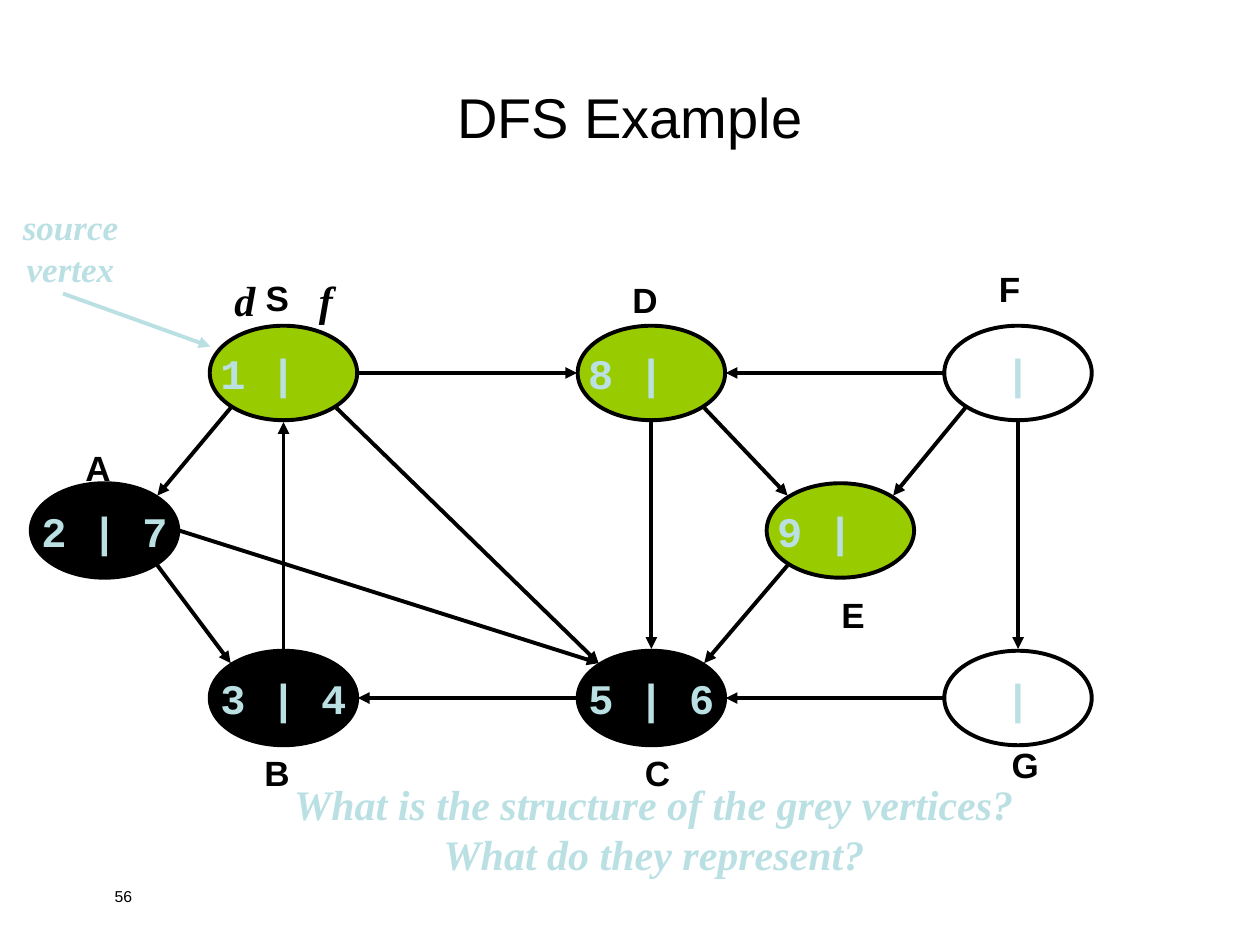
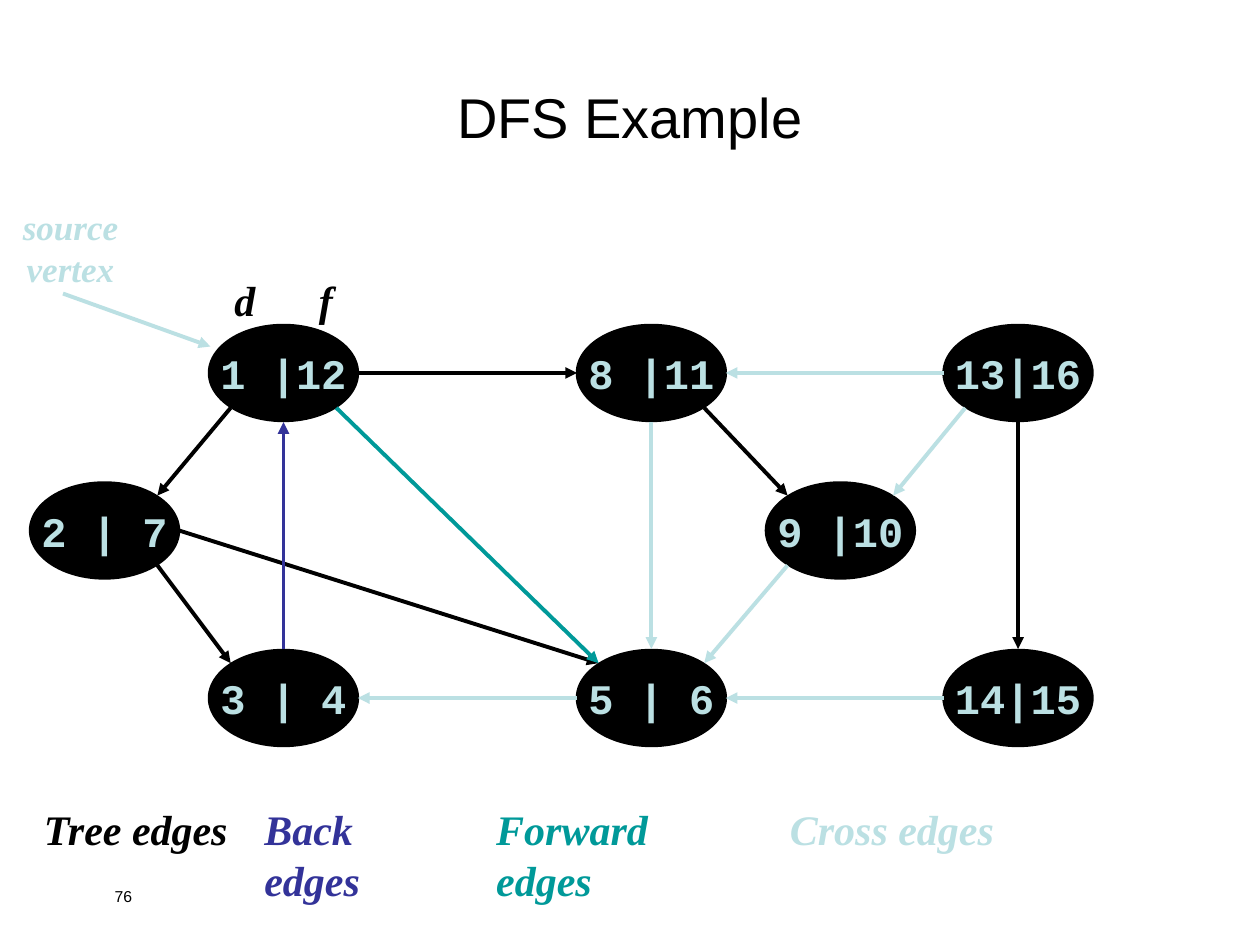
from lxml import etree
from pptx import Presentation
from pptx.dml.color import RGBColor
from pptx.enum.shapes import MSO_CONNECTOR, MSO_SHAPE
from pptx.enum.text import MSO_ANCHOR, PP_ALIGN
from pptx.oxml.ns import qn
from pptx.util import Inches, Pt

OVAL = MSO_SHAPE.OVAL
STRAIGHT = MSO_CONNECTOR.STRAIGHT
LEFT, CENTER = PP_ALIGN.LEFT, PP_ALIGN.CENTER
TOP, MIDDLE = MSO_ANCHOR.TOP, MSO_ANCHOR.MIDDLE

# Shared colours and fonts
BLACK, PALE, GREEN = "000000", "BBE0E3", "99CC00"
BLUE, TEAL = "333399", "009999"
SANS, SERIF, MONO = "Arial", "Times New Roman", "Courier New"
EDGE = Pt(2.25)

# Graph: centre of each vertex
WIDE, HIGH = 1.17, 0.75
COLS = (0.83, 2.25, 5.17, 6.67, 8.08)
ROWS = (2.96, 4.21, 5.54)
NODES = {
    "S": (COLS[1], ROWS[0]), "D": (COLS[2], ROWS[0]),
    "F": (COLS[4], ROWS[0]), "G": (COLS[4], ROWS[2]),
    "C": (COLS[2], ROWS[2]), "B": (COLS[1], ROWS[2]),
    "A": (COLS[0], ROWS[1]), "E": (COLS[3], ROWS[1]),
}

# Points just outside an oval, as shares of its reach
REACH = (0.59, 0.39)
DIAG = 0.71
PORTS = {
    "n": (0, -1), "s": (0, 1), "w": (-1, 0), "e": (1, 0),
    "nw": (-DIAG, -DIAG), "ne": (DIAG, -DIAG),
    "sw": (-DIAG, DIAG), "se": (DIAG, DIAG),
}

# Edges: start, its port, end, its port, kind
EDGES = [
    ("S", "sw", "A", "ne", "Tree"), ("A", "se", "B", "nw", "Tree"),
    ("A", "e", "C", "nw", "Tree"), ("C", "w", "B", "e", "Cross"),
    ("B", "n", "S", "s", "Back"), ("S", "se", "C", "nw", "Forward"),
    ("D", "s", "C", "n", "Cross"), ("S", "e", "D", "w", "Tree"),
    ("F", "w", "D", "e", "Cross"), ("D", "se", "E", "nw", "Tree"),
    ("F", "sw", "E", "ne", "Cross"), ("F", "s", "G", "n", "Tree"),
    ("G", "w", "C", "e", "Cross"), ("E", "sw", "C", "ne", "Cross"),
]
KINDS = {"Tree": BLACK, "Back": BLUE, "Forward": TEAL, "Cross": PALE}
PLAIN = dict.fromkeys(KINDS, BLACK)

# What each slide fills in
MIDWAY = {
    "S": ("1 |", GREEN), "D": ("8 |", GREEN), "F": ("|", None),
    "G": ("|", None), "C": ("5 | 6", BLACK), "B": ("3 | 4", BLACK),
    "A": ("2 | 7", BLACK), "E": ("9 |", GREEN),
}
TIMES = {
    "S": "1 |12", "D": "8 |11", "F": "13|16", "G": "14|15",
    "C": "5 | 6", "B": "3 | 4", "A": "2 | 7", "E": "9 |10",
}
DONE = {name: (text, BLACK) for name, text in TIMES.items()}
NAMES = {
    "S": (2.01, 2.15), "A": (0.58, 3.5), "B": (2, 5.92), "C": (5.02, 5.92),
    "D": (4.92, 2.17), "E": (6.58, 4.67), "F": (7.83, 2.08), "G": (7.93, 5.86),
}
LEGEND = {"Tree": (0.25, 1.67), "Back": (2, 1.74),
          "Forward": (3.84, 2.24), "Cross": (6.17, 1.82)}


def color(code):
    return RGBColor.from_string(code)


def style(par, font, size, code, bold=False, slant=False, align=LEFT):
    par.alignment = align
    face = par.font
    face.name, face.size = font, Pt(size)
    face.bold, face.italic = bold, slant
    face.color.rgb = color(code)


def label(slide, text, at, font, size, code, bold=False, slant=False,
          align=LEFT, anchor=TOP, inset=0.1, tab=None):
    box = slide.shapes.add_textbox(*map(Inches, at))
    frame = box.text_frame
    frame.word_wrap = False
    frame.vertical_anchor = anchor
    frame.margin_left = Inches(inset)
    par = frame.paragraphs[0]
    par.text = text
    if tab:
        stops = etree.SubElement(par._p.get_or_add_pPr(), qn("a:tabLst"))
        etree.SubElement(stops, qn("a:tab"), pos=str(Inches(tab)), algn="l")
    style(par, font, size, code, bold, slant, align)


def node(slide, name, text, fill):
    x, y = NODES[name]
    oval = slide.shapes.add_shape(OVAL, Inches(x - WIDE / 2), Inches(y - HIGH / 2),
                                  Inches(WIDE), Inches(HIGH))
    oval.shadow.inherit = False
    if fill:
        oval.fill.solid()
        oval.fill.fore_color.rgb = color(fill)
    else:
        oval.fill.background()
    oval.line.color.rgb = color(BLACK)
    oval.line.width = EDGE
    frame = oval.text_frame
    frame.word_wrap = False
    frame.vertical_anchor = MIDDLE
    # An open finish time keeps the bar in the middle of the oval
    frame.margin_right = Inches(0.5 if text.endswith(" |") else 0.1)
    par = frame.paragraphs[0]
    par.text = text
    style(par, MONO, 24, PALE, bold=True, align=CENTER)


def arrow(slide, start, end, code):
    link = slide.shapes.add_connector(STRAIGHT, *map(Inches, start + end))
    link.line.color.rgb = color(code)
    link.line.width = EDGE
    etree.SubElement(link.line._get_or_add_ln(), qn("a:tailEnd"), type="triangle")
    etree.SubElement(link._element.spPr, qn("a:effectLst"))


def port(name, side):
    return tuple(mid + reach * share for mid, reach, share
                 in zip(NODES[name], REACH, PORTS[side]))


def graph(slide, states, paint):
    for name, state in states.items():
        node(slide, name, *state)
    for tail, out, head, into, kind in EDGES:
        arrow(slide, port(tail, out), port(head, into), paint[kind])


def base(deck, number, states, paint):
    slide = deck.slides.add_slide(deck.slide_layouts[6])
    # Footer number and title
    label(slide, number, (0.5, 6.85, 2.33, 0.52), SANS, 9, BLACK,
          anchor=MIDDLE, inset=0.41)
    label(slide, "DFS Example", (0.5, 0.3, 9, 1.25), SANS, 32, BLACK,
          align=CENTER, anchor=MIDDLE)
    graph(slide, states, paint)
    # Source vertex and the heads of its two times
    arrow(slide, (0.5, 2.33), (1.67, 2.75), PALE)
    label(slide, "source\nvertex", (0.08, 1.58, 0.96, 0.77), SERIF, 20, PALE,
          bold=True, slant=True, align=CENTER)
    label(slide, "d\tf", (1.67, 2, 1.17, 0.75), SERIF, 24, BLACK,
          bold=True, slant=True, anchor=MIDDLE, inset=0.19, tab=0.67)
    return slide


def main():
    deck = Presentation()
    deck.slide_width, deck.slide_height = Inches(10), Inches(7.5)

    # Search under way
    slide = base(deck, "56", MIDWAY, PLAIN)
    label(slide, "What is the structure of the grey vertices?\nWhat do they represent?",
          (2.15, 6.13, 6.08, 0.9), SERIF, 24, PALE,
          bold=True, slant=True, align=CENTER)
    for name, spot in NAMES.items():
        label(slide, name, (*spot, 0.42, 0.42), SANS, 20, BLACK,
              bold=True, anchor=MIDDLE)

    # Search finished, edges by kind
    slide = base(deck, "76", DONE, KINDS)
    for kind, (left, width) in LEGEND.items():
        label(slide, f"{kind} edges", (left, 6.33, width, 0.5), SERIF, 24,
              KINDS[kind], bold=True, slant=True)

    deck.save("out.pptx")


if __name__ == "__main__":
    main()
